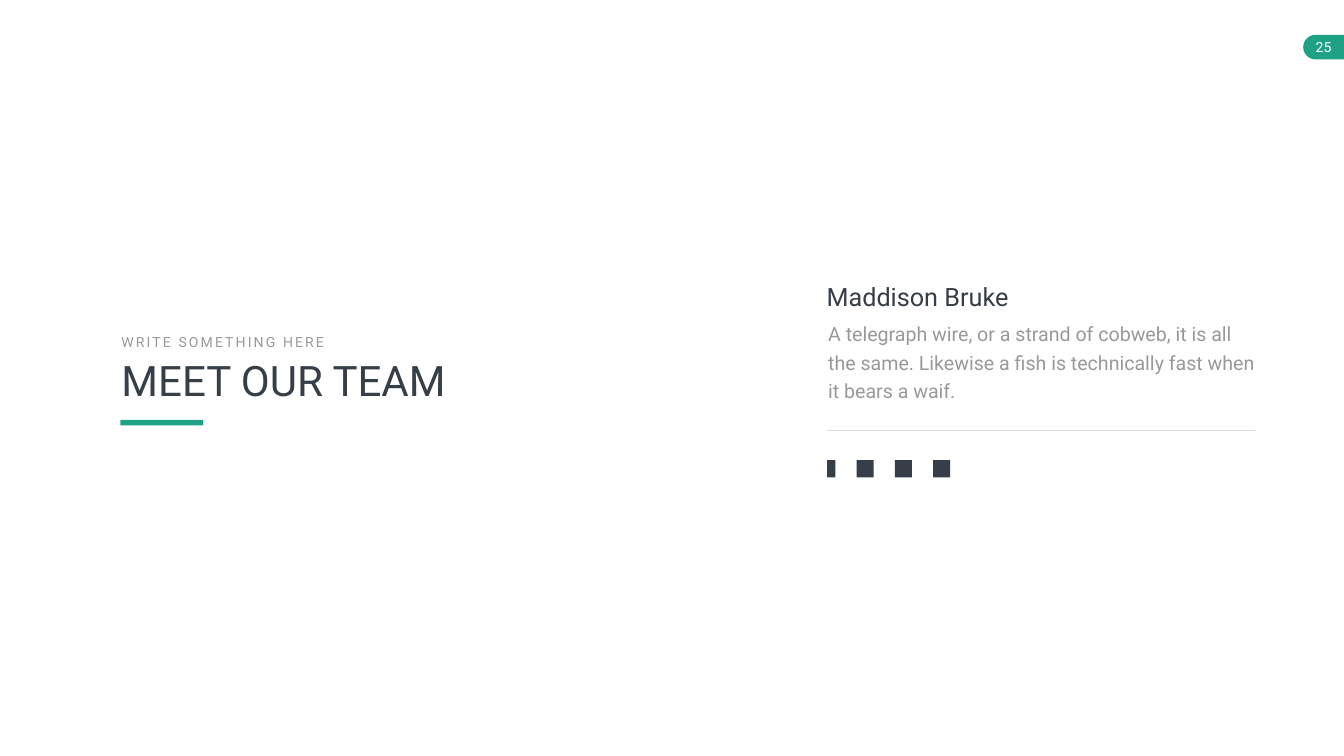
from pptx import Presentation
from pptx.dml.color import RGBColor
from pptx.enum.shapes import MSO_CONNECTOR, MSO_SHAPE
from pptx.enum.text import MSO_ANCHOR, PP_ALIGN
from pptx.oxml.ns import qn
from pptx.util import Pt

PX = 9144  # EMU per px, 100 px to the inch
FONT = "Roboto"
COLORS = {"accent": "1EA185", "dark": "363E48", "grey": "999999",
          "rule": "D9D9D9", "white": "FFFFFF"}
RECTANGLE = MSO_SHAPE.RECTANGLE
DELAY = MSO_SHAPE.FLOWCHART_DELAY
STRAIGHT = MSO_CONNECTOR.STRAIGHT
TOP, MIDDLE = MSO_ANCHOR.TOP, MSO_ANCHOR.MIDDLE
LEFT, CENTER = PP_ALIGN.LEFT, PP_ALIGN.CENTER


def emu(*lengths):
    return [length * PX for length in lengths]


def color(name):
    return RGBColor.from_string(COLORS[name])


def write_text(shape, text, size, color_name, align=LEFT, anchor=TOP,
               wrap=True, line_spacing=None, tracking=None):
    frame = shape.text_frame
    frame.word_wrap = wrap
    frame.vertical_anchor = anchor
    paragraph = frame.paragraphs[0]
    paragraph.alignment = align
    if line_spacing:
        paragraph.line_spacing = Pt(line_spacing)
    run = paragraph.add_run()
    run.text = text
    run.font.name = FONT
    run.font.size = Pt(size)
    run.font.color.rgb = color(color_name)
    if tracking:
        run.font._element.set("spc", str(tracking * 100))
    return frame


def add_text(slide, box, text, size, color_name, **text_format):
    shape = slide.shapes.add_textbox(*emu(*box))
    return write_text(shape, text, size, color_name, **text_format)


def add_block(slide, kind, box, color_name):
    shape = slide.shapes.add_shape(kind, *emu(*box))
    shape.shadow.inherit = False
    shape.fill.solid()
    shape.fill.fore_color.rgb = color(color_name)
    shape.line.fill.background()
    return shape


def add_rule(slide, left, top, width):
    rule = slide.shapes.add_connector(
        STRAIGHT, *emu(left, top, left + width, top))
    rule.line.color.rgb = color("rule")
    rule.line.width = Pt(0.5)
    properties = rule._element.spPr
    properties.append(properties.makeelement(qn("a:effectLst"), {}))


def add_page_badge(slide, left, top, width, height, number):
    # Round end on the left, square end running to the slide edge
    cap = add_block(slide, DELAY, (left, top, height, height), "accent")
    cap.rotation = 180
    add_block(slide, RECTANGLE,
              (left + height, top, width - height, height), "accent")
    frame = add_text(slide, (left, top, width, height), number, 20, "white",
                     align=CENTER, anchor=MIDDLE, wrap=False)
    frame.margin_left = frame.margin_right = 0
    frame.margin_top = frame.margin_bottom = 0


def add_heading(slide, left, top, width, kicker, heading):
    add_text(slide, (left, top, width, 44), kicker, 20, "grey",
             wrap=False, tracking=3)
    title = slide.shapes.title
    title.left, title.top, title.width, title.height = emu(
        left, top + 42, width, 111)
    write_text(title, heading, 60, "dark")
    # Accent bar below the title
    add_block(slide, RECTANGLE, (left + 8, top + 177, 164, 11), "accent")


def add_profile(slide, left, top, width, name, description):
    add_text(slide, (left, top, width, 71), name, 36, "dark")
    add_text(slide, (left + 3, top + 71, width, 177), description, 28, "grey",
             line_spacing=40.8)
    add_rule(slide, left + 11, top + 300, width - 18)
    # Plain marks for the contact channels, evenly spaced
    mark_left, gap = left + 11, 42
    for mark_width in (16, 34, 34, 34):
        add_block(slide, RECTANGLE,
                  (mark_left, top + 360, mark_width, 34), "dark")
        mark_left += mark_width + gap


def main():
    presentation = Presentation()
    presentation.slide_width, presentation.slide_height = emu(2666, 1500)
    title_only = presentation.slide_layouts[5]
    slide = presentation.slides.add_slide(title_only)
    slide.background.fill.solid()
    slide.background.fill.fore_color.rgb = color("white")

    add_page_badge(slide, 2585, 69, 81, 49, "25")
    add_heading(slide, 231, 656, 706, "WRITE SOMETHING HERE", "MEET OUR TEAM")
    add_profile(slide, 1630, 553, 866, "Maddison Bruke",
                "A telegraph wire, or a strand of cobweb, it is all the same. "
                "Likewise a fish is technically fast when it bears a waif.")
    presentation.save("out.pptx")


if __name__ == "__main__":
    main()
